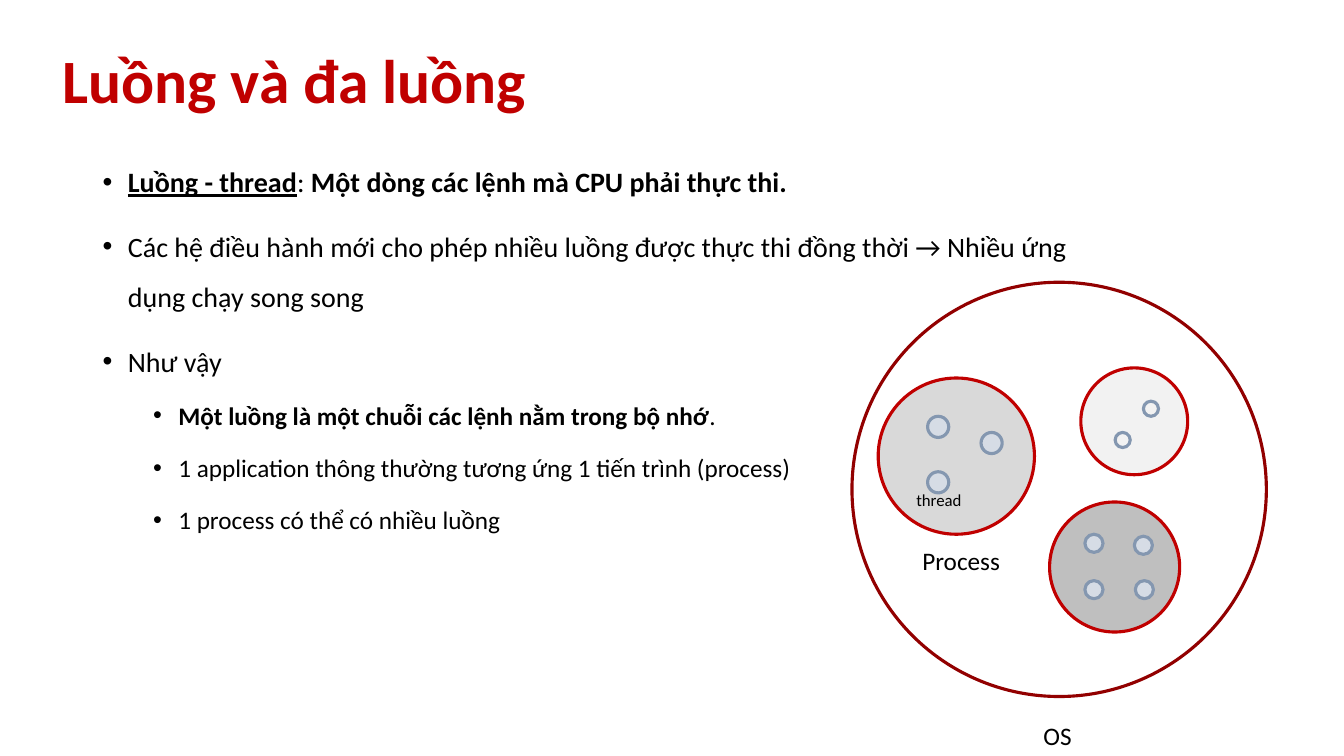
"""Build a slide on threads and multithreading with a nested-circle diagram."""
from dataclasses import dataclass
from typing import Any

from lxml import etree
from pptx import Presentation
from pptx import util as u
from pptx.dml import color
from pptx.enum import shapes, text
from pptx.oxml import ns


@dataclass(frozen=True)
class Theme:
    """Colours, font and type sizes."""
    font: str = "Calibri"
    ink: str = "000000"
    red: str = "C00000"
    dark: str = "920000"
    blue: str = "8497B0"
    pale: str = "D6DCE5"
    white: str = "FFFFFF"
    light: str = "F2F2F2"
    mid: str = "D9D9D9"
    deep: str = "BFBFBF"
    title: int = 44
    body: int = 20
    sub: int = 18
    small: int = 12
    line: float = 2.25


@dataclass(frozen=True)
class Span:
    """A stretch of text in one style."""
    words: str
    bold: bool = False
    under: bool = False


@dataclass(frozen=True)
class Point:
    """A bulleted paragraph."""
    spans: tuple[Span, ...]
    level: int = 0


@dataclass(frozen=True)
class Label:
    """A caption in the diagram."""
    words: str
    left: float
    top: float
    width: float
    height: float
    size: int


@dataclass(frozen=True)
class Process:
    """A process circle and the threads inside it."""
    left: float
    top: float
    size: float
    fill: str
    dot: float
    tint: str
    threads: tuple[tuple[float, float], ...]


THEME = Theme()
POINTS = (
    Point((Span("Luồng - thread", True, True), Span(": "),
           Span("Một dòng các lệnh mà CPU phải thực thi.", True))),
    Point((Span("Các hệ điều hành mới cho phép nhiều luồng được thực thi "
                "đồng thời → Nhiều ứng dụng chạy song song"),)),
    Point((Span("Như vậy"),)),
    Point((Span("Một luồng là một chuỗi các lệnh nằm trong bộ nhớ", True),
           Span(".")), 1),
    Point((Span("1 application thông thường tương ứng 1 tiến trình (process)"),), 1),
    Point((Span("1 process có thể có nhiều luồng"),), 1),
)
TASKS = (
    Process(8.71, 3.75, 1.55, THEME.mid, 0.21, THEME.pale,
            ((9.2, 4.13), (9.73, 4.29), (9.2, 4.68))),
    Process(10.72, 3.65, 1.06, THEME.light, 0.15, THEME.light,
            ((11.34, 3.98), (11.06, 4.29))),
    Process(10.41, 4.98, 1.29, THEME.deep, 0.18, THEME.pale,
            ((10.76, 5.3), (11.25, 5.32), (10.76, 5.76), (11.26, 5.76))),
)
LABELS = (
    Label("OS", 10.25, 7.1, 0.5, 0.4, THEME.sub),
    Label("thread", 8.99, 4.81, 1.1, 0.3, THEME.small),
    Label("Process", 9.05, 5.36, 1.1, 0.4, THEME.sub),
)


def style(run: Any, size: int, hue: str = THEME.ink, bold: bool = False) -> None:
    """Set the font of a run."""
    run.font.name = THEME.font
    run.font.size = u.Pt(size)
    run.font.bold = bold
    run.font.color.rgb = color.RGBColor.from_string(hue)


def add_box(slide: Any, left: float, top: float, width: float, height: float) -> Any:
    """Add a wrapping text box and return its frame."""
    box = slide.shapes.add_textbox(
        u.Inches(left), u.Inches(top), u.Inches(width), u.Inches(height))
    box.text_frame.word_wrap = True
    return box.text_frame


def add_title(slide: Any, words: str) -> None:
    """Add the slide title."""
    frame = add_box(slide, 0.62, 0.44, 11.3, 0.79)
    frame.margin_left = frame.margin_right = 0
    frame.margin_top = frame.margin_bottom = 0
    frame.vertical_anchor = text.MSO_ANCHOR.MIDDLE
    frame.text = words
    para = frame.paragraphs[0]
    para.line_spacing = 0.85
    style(para.runs[0], THEME.title, THEME.red, True)


def add_point(para: Any, point: Point) -> None:
    """Fill a paragraph with a bulleted point."""
    para.level = point.level
    para.line_spacing = 1.5
    para.space_before = u.Pt(5 if point.level else 10)
    props = para._p.get_or_add_pPr()
    props.set("marL", str(u.Inches(0.25 + 0.5 * point.level)))
    props.set("indent", str(u.Inches(-0.25)))
    etree.SubElement(props, ns.qn("a:buFont"), typeface="Arial")
    etree.SubElement(props, ns.qn("a:buChar"), char="•")
    for span in point.spans:
        run = para.add_run()
        run.text = span.words
        style(run, THEME.sub if point.level else THEME.body, bold=span.bold)
        run.font.underline = span.under


def add_body(slide: Any) -> None:
    """Add the bulleted points."""
    frame = add_box(slide, 0.92, 1.42, 10.25, 5.58)
    for i, point in enumerate(POINTS):
        add_point(frame.add_paragraph() if i else frame.paragraphs[0], point)


def add_disc(group: Any, left: float, top: float, size: float,
             fill: str, line: str) -> None:
    """Add an outlined circle."""
    disc = group.shapes.add_shape(
        shapes.MSO_SHAPE.OVAL, u.Inches(left), u.Inches(top),
        u.Inches(size), u.Inches(size))
    disc.shadow.inherit = False
    disc.fill.solid()
    disc.fill.fore_color.rgb = color.RGBColor.from_string(fill)
    disc.line.color.rgb = color.RGBColor.from_string(line)
    disc.line.width = u.Pt(THEME.line)


def add_task(slide: Any, task: Process) -> None:
    """Add a process with its threads as one group."""
    group = slide.shapes.add_group_shape()
    add_disc(group, task.left, task.top, task.size, task.fill, THEME.red)
    for left, top in task.threads:
        add_disc(group, left, top, task.dot, task.tint, THEME.blue)


def add_label(slide: Any, label: Label) -> None:
    """Add a diagram caption."""
    frame = add_box(slide, label.left, label.top, label.width, label.height)
    frame.text = label.words
    style(frame.paragraphs[0].runs[0], label.size)


def main() -> None:
    """Build and save the deck."""
    deck = Presentation()
    deck.slide_width = u.Inches(13.33)
    deck.slide_height = u.Inches(7.5)
    slide = deck.slides.add_slide(deck.slide_layouts[6])
    add_title(slide, "Luồng và đa luồng")
    add_body(slide)
    add_disc(slide, 8.45, 2.8, 4.11, THEME.white, THEME.dark)
    for task in TASKS:
        add_task(slide, task)
    for label in LABELS:
        add_label(slide, label)
    deck.save("out.pptx")


if __name__ == "__main__":
    main()
